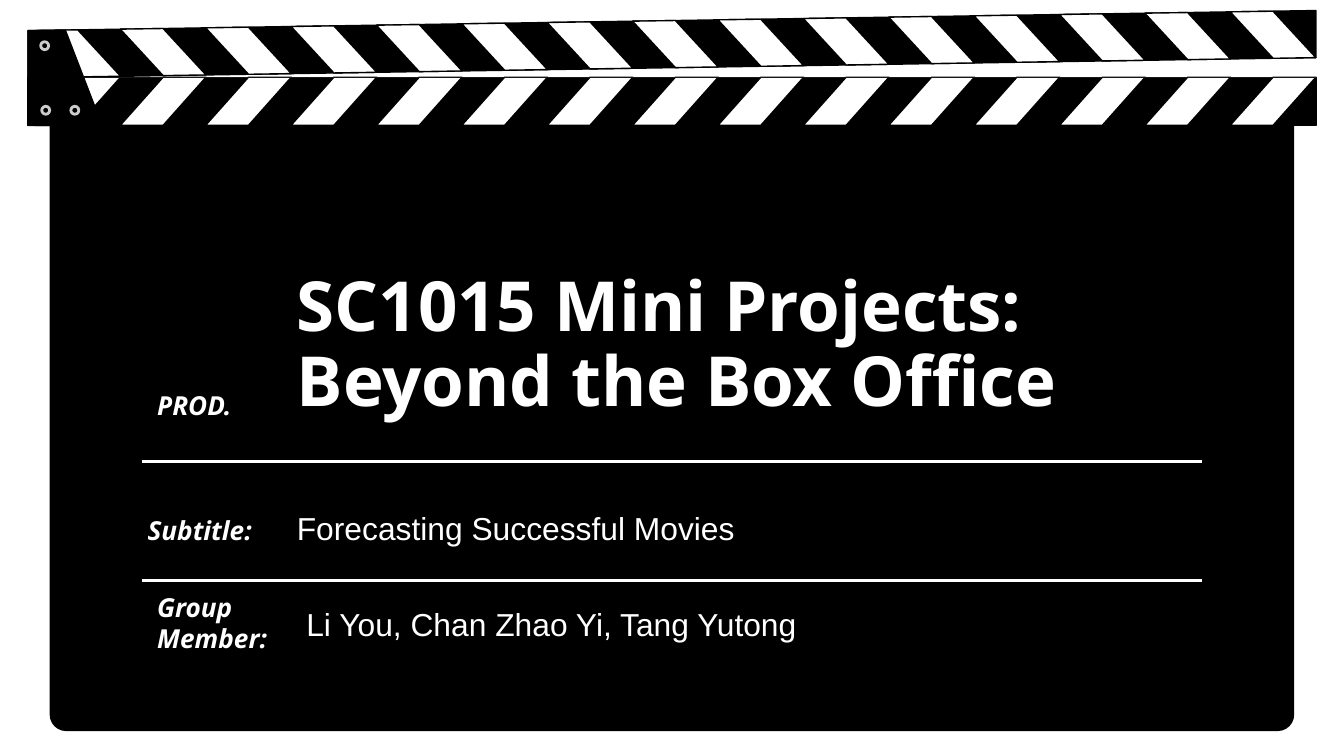
from pptx import Presentation
from pptx.dml.color import RGBColor
from pptx.enum.shapes import MSO_CONNECTOR, MSO_SHAPE
from pptx.enum.text import MSO_ANCHOR
from pptx.oxml.ns import qn
from pptx.util import Cm, Pt
from lxml import etree

STRAIGHT = MSO_CONNECTOR.STRAIGHT
ROUNDED = MSO_SHAPE.ROUNDED_RECTANGLE
OVAL = MSO_SHAPE.OVAL
TOP = MSO_ANCHOR.TOP
MIDDLE = MSO_ANCHOR.MIDDLE

BLACK = "000000"
WHITE = "FFFFFF"

# Clapper geometry in centimetres
LEFT, RIGHT = 0.53, 24.87
BAR_TOP, BAR_BOTTOM = 1.46, 2.37
ARM_LEFT_TOP, ARM_RIGHT_TOP, ARM_HEIGHT = 0.58, 0.2, 0.89
STRIPE_COUNT = 15
STRIPE_START, STRIPE_HALF = 0.66, 0.81
STRIPE_PITCH = (RIGHT - 2 * STRIPE_HALF - STRIPE_START) / (STRIPE_COUNT - 1)


def color(hex_string):
    return RGBColor.from_string(hex_string)


def style(shape, fill, line=None, line_width=0.75):
    shape.shadow.inherit = False
    shape.fill.solid()
    shape.fill.fore_color.rgb = color(fill)
    if line:
        shape.line.color.rgb = color(line)
        shape.line.width = Pt(line_width)
    else:
        shape.line.fill.background()


def add_preset(slide, kind, left, top, width, height, **look):
    shape = slide.shapes.add_shape(kind, Cm(left), Cm(top), Cm(width), Cm(height))
    style(shape, **look)
    return shape


def add_polygon(slide, points, fill):
    start, *rest = [(Cm(x), Cm(y)) for x, y in points]
    builder = slide.shapes.build_freeform(*start)
    builder.add_line_segments(rest, close=True)
    style(builder.convert_to_shape(), fill, line=BLACK)


def add_rule(slide, left, right, y, line, line_width):
    connector = slide.shapes.add_connector(STRAIGHT, Cm(left), Cm(y), Cm(right), Cm(y))
    connector.line.color.rgb = color(line)
    connector.line.width = Pt(line_width)
    etree.SubElement(connector._element.spPr, qn("a:effectLst"))


def add_text(slide, text, left, top, width, height, size=14, font="Open Sans",
             bold=False, italic=False, anchor=TOP, line_spacing=1.0):
    box = slide.shapes.add_textbox(Cm(left), Cm(top), Cm(width), Cm(height))
    frame = box.text_frame
    frame.word_wrap = True
    frame.vertical_anchor = anchor
    frame.margin_left = frame.margin_right = Cm(0.25)
    frame.margin_top = frame.margin_bottom = Cm(0.25)
    paragraph = frame.paragraphs[0]
    paragraph.line_spacing = line_spacing
    run = paragraph.add_run()
    run.text = text
    run.font.size = Pt(size)
    run.font.name = font
    run.font.bold = bold
    run.font.italic = italic
    run.font.color.rgb = color(WHITE)


def arm_top(x):
    """Height of the raised arm's upper edge, which climbs to the right."""
    return ARM_LEFT_TOP + (ARM_RIGHT_TOP - ARM_LEFT_TOP) * (x - LEFT) / (RIGHT - LEFT)


def add_clapper(slide):
    add_polygon(slide, [(LEFT, BAR_TOP), (LEFT, BAR_BOTTOM),
                        (RIGHT, BAR_BOTTOM), (RIGHT, BAR_TOP)], BLACK)
    add_polygon(slide, [(RIGHT, ARM_RIGHT_TOP), (LEFT, ARM_LEFT_TOP),
                        (LEFT, ARM_LEFT_TOP + ARM_HEIGHT),
                        (RIGHT, ARM_RIGHT_TOP + ARM_HEIGHT)], BLACK)
    for index in range(STRIPE_COUNT):
        start = STRIPE_START + index * STRIPE_PITCH
        middle, end = start + STRIPE_HALF, start + 2 * STRIPE_HALF
        add_polygon(slide, [(middle, BAR_TOP), (start, BAR_BOTTOM),
                            (middle, BAR_BOTTOM), (end, BAR_TOP)], WHITE)
        add_polygon(slide, [(middle, arm_top(middle)), (start, arm_top(start)),
                            (middle, arm_top(middle) + ARM_HEIGHT),
                            (end, arm_top(end) + ARM_HEIGHT)], WHITE)
    add_rule(slide, LEFT, RIGHT, BAR_TOP, "171717", 0.75)


def add_hinge(slide):
    add_polygon(slide, [(LEFT, ARM_LEFT_TOP), (LEFT, BAR_BOTTOM),
                        (1.93, BAR_BOTTOM), (1.24, ARM_LEFT_TOP)], BLACK)
    for left, top in [(0.77, 0.79), (0.79, 2.01), (1.34, 2.01)]:
        add_preset(slide, OVAL, left, top, 0.15, 0.15,
                   fill=BLACK, line="CCCCCC", line_width=1.5)


def main():
    presentation = Presentation()
    presentation.slide_width = Cm(25.4)
    presentation.slide_height = Cm(14.29)
    slide = presentation.slides.add_slide(presentation.slide_layouts[6])

    board = add_preset(slide, ROUNDED, 0.94, 1.83, 23.52, 11.99, fill=BLACK)
    board.adjustments[0] = 0.026
    add_clapper(slide)
    add_hinge(slide)

    add_text(slide, "SC1015 Mini Projects: Beyond the Box Office", 5.36, 4.88, 17.91, 3.35,
             size=37, bold=True, anchor=MIDDLE, line_spacing=0.9)
    for text, left, top, height in [("PROD.", 2.72, 7.11, 0.74),
                                    ("Subtitle:", 2.54, 9.47, 0.74),
                                    ("Group Member:", 2.72, 10.92, 1.5)]:
        add_text(slide, text, left, top, 2.82, height, bold=True, italic=True)
    for text, left, top in [("Forecasting Successful Movies", 5.36, 9.4),
                            ("Li You, Chan Zhao Yi, Tang Yutong", 5.54, 11.22)]:
        add_text(slide, text, left, top, 13.26, 1.15, size=17, font="Arial", anchor=MIDDLE)
    for y in (8.72, 10.97):
        add_rule(slide, 2.69, 22.71, y, WHITE, 1.5)

    presentation.save("out.pptx")


if __name__ == "__main__":
    main()
